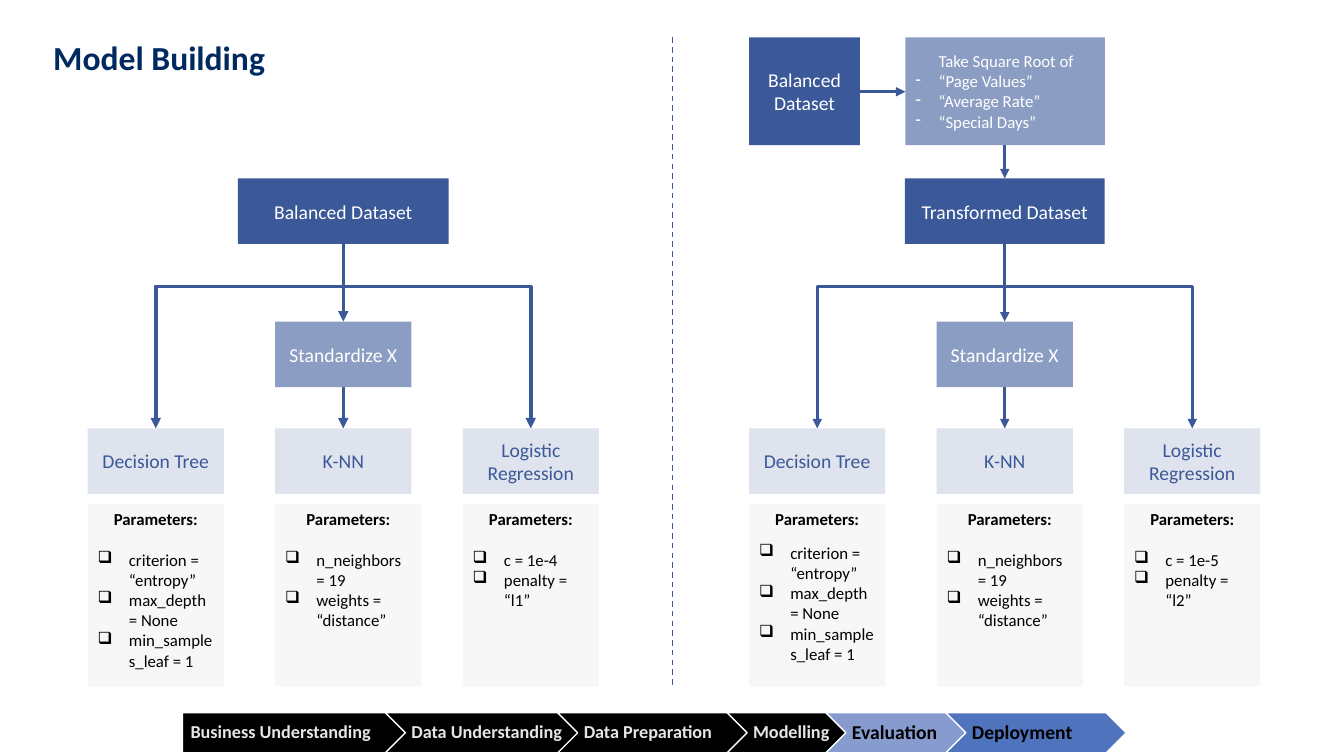
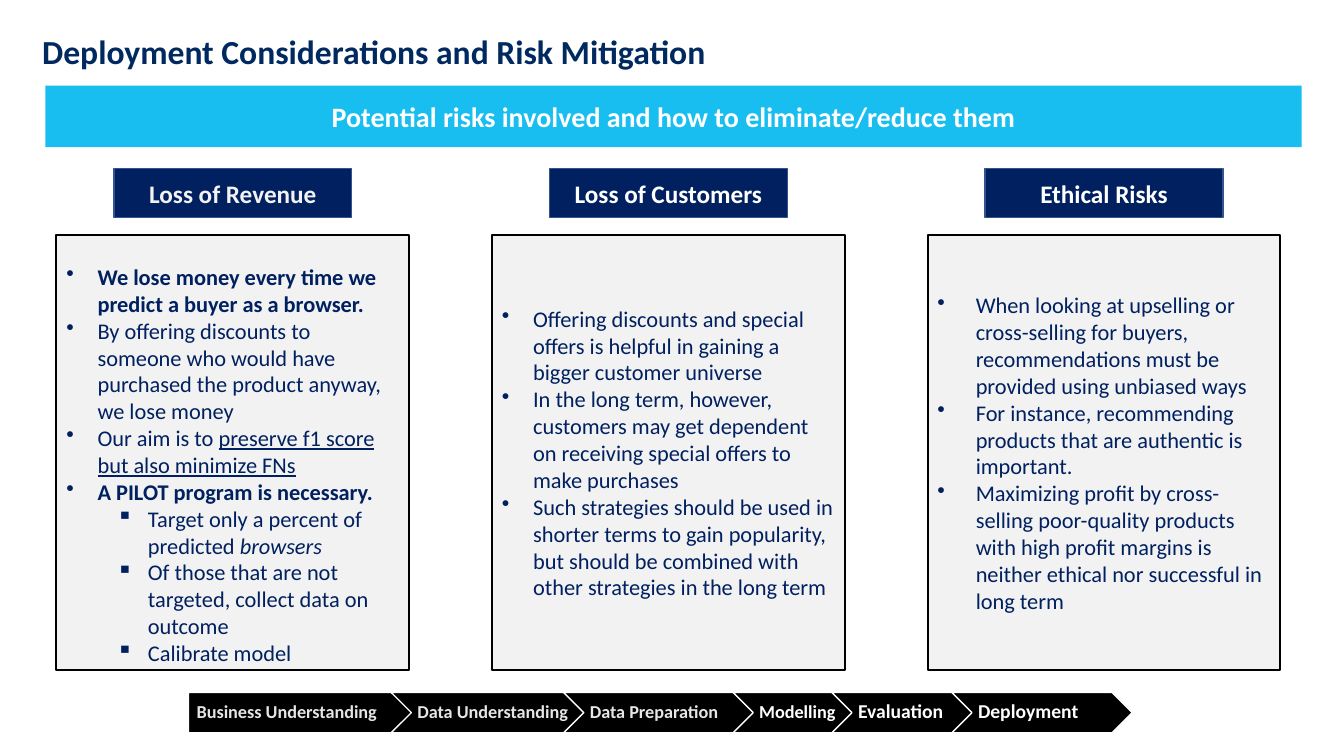
"""Build two slides on model building and deployment risks."""
from lxml.etree import SubElement
from pptx import Presentation
from pptx.dml.color import RGBColor
from pptx.enum.dml import MSO_LINE
from pptx.enum.shapes import MSO_CONNECTOR, MSO_SHAPE
from pptx.enum.text import MSO_ANCHOR, PP_ALIGN
from pptx.oxml.ns import qn
from pptx.util import Inches, Pt

FONT = "Calibri"
BLACK = RGBColor(0x00, 0x00, 0x00)
WHITE = RGBColor(0xFF, 0xFF, 0xFF)
SILVER = RGBColor(0xE7, 0xE6, 0xE6)
PALE = RGBColor(0xF2, 0xF2, 0xF2)
PARAMETER_GRAY = RGBColor(0xF7, 0xF7, 0xF7)
TITLE_NAVY = RGBColor(0x00, 0x29, 0x60)
NAVY = RGBColor(0x00, 0x20, 0x60)
NAVY_EDGE = RGBColor(0x32, 0x54, 0x91)
CYAN = RGBColor(0x19, 0xBE, 0xF0)
BLUE = RGBColor(0x3B, 0x59, 0x98)
MID_BLUE = RGBColor(0x8B, 0x9D, 0xC3)
LIGHT_BLUE = RGBColor(0xDF, 0xE3, 0xEE)
EVALUATION_BLUE = RGBColor(0x87, 0x9B, 0xCE)
DEPLOYMENT_BLUE = RGBColor(0x4F, 0x73, 0xBD)

STAGES = [
    ("Business Understanding", 2.51, 13),
    ("Data Understanding", 2.21, 13),
    ("Data Preparation", 2.18, 13),
    ("Modelling", 1.48, 13),
    ("Evaluation", 1.69, 14),
    ("Deployment", 1.79, 14),
]
STAGE_HEIGHT, STAGE_OVERLAP, STAGE_TIP = 0.4, 0.5, 0.2

NODE_WIDTH, NODE_HEIGHT, NODE_PITCH = 1.35, 0.65, 1.86
ROOT_TOP, STANDARDIZE_TOP, MODEL_TOP, PARAMETER_TOP = 1.77, 3.19, 4.25, 5
MODELS = ["Decision Tree", "K-NN", "Logistic Regression"]
TREE_PARAMETERS = ["criterion = “entropy”", "max_depth = None", "min_samples_leaf = 1"]
NEIGHBOR_PARAMETERS = ["n_neighbors = 19", "weights = “distance”"]

RISKS = [
    ("Loss of Revenue", PALE, 0.31, 0.28, [
        [("We lose money every time we predict a buyer as a browser.", "b")],
        "By offering discounts to someone who would have purchased the product anyway, we lose money",
        ["Our aim is to ", ("preserve f1 score but also minimize FNs", "u")],
        [("A PILOT program is necessary.", "b")],
    ], [
        ["Target only a percent of predicted ", ("browsers", "i")],
        "Of those that are not targeted, collect data on outcome",
        "Calibrate model",
    ]),
    ("Loss of Customers", WHITE, 0.31, None, [
        "Offering discounts and special offers is helpful in gaining a bigger customer universe",
        "In the long term, however, customers may get dependent on receiving special offers to make purchases",
        "Such strategies should be used in shorter terms to gain popularity, but should be combined with other strategies in the long term",
    ], []),
    ("Ethical Risks", WHITE, 0.38, None, [
        "When looking at upselling or cross-selling for buyers, recommendations must be provided using unbiased ways",
        "For instance, recommending products that are authentic is important.",
        "Maximizing profit by cross-selling poor-quality products with high profit margins is neither ethical nor successful in long term",
    ], []),
]


class Deck:
    """Hold the shared style and the current slide."""

    def __init__(self):
        self.presentation = Presentation()
        self.presentation.slide_width = Inches(13.33)
        self.presentation.slide_height = Inches(7.5)
        self.slide = None

    def new_slide(self, title, left, top):
        self.slide = self.presentation.slides.add_slide(self.presentation.slide_layouts[6])
        frame = self.text_frame(left, top, 12, 0.5, MSO_ANCHOR.BOTTOM)
        self.add_text(frame, title, 24, TITLE_NAVY, bold=True)

    def text_frame(self, left, top, width, height, anchor):
        box = self.slide.shapes.add_textbox(*map(Inches, (left, top, width, height)))
        box.text_frame.word_wrap = True
        box.text_frame.vertical_anchor = anchor
        return box.text_frame

    def add_text(self, frame, content, size, color, bold=False, align=PP_ALIGN.LEFT):
        paragraph = frame.paragraphs[0]
        if paragraph.runs:
            paragraph = frame.add_paragraph()
        paragraph.alignment = align
        for part in [content] if isinstance(content, str) else content:
            text, marks = (part, "") if isinstance(part, str) else part
            run = paragraph.add_run()
            run.text = text
            run.font.name = FONT
            run.font.size = Pt(size)
            run.font.color.rgb = color
            run.font.bold = bold or "b" in marks
            run.font.italic = "i" in marks
            run.font.underline = "u" in marks
        return paragraph

    def indent(self, paragraph, left, hanging=0):
        properties = paragraph._p.get_or_add_pPr()
        properties.set("marL", str(Inches(left)))
        properties.set("indent", str(-Inches(hanging)))
        return properties

    def bullets(self, frame, items, char, left, hanging, size, color):
        for item in items:
            paragraph = self.add_text(frame, item, size, color)
            properties = self.indent(paragraph, left, hanging)
            SubElement(properties, qn("a:buChar")).set("char", char)

    def shape(self, left, top, width, height, fill, edge=None, edge_width=1,
              kind=MSO_SHAPE.RECTANGLE, anchor=MSO_ANCHOR.MIDDLE):
        shape = self.slide.shapes.add_shape(kind, *map(Inches, (left, top, width, height)))
        shape.shadow.inherit = False
        shape.fill.solid()
        shape.fill.fore_color.rgb = fill
        if edge is None:
            shape.line.fill.background()
        else:
            shape.line.color.rgb = edge
            shape.line.width = Pt(edge_width)
        shape.text_frame.word_wrap = True
        shape.text_frame.vertical_anchor = anchor
        return shape.text_frame

    def label(self, text, left, top, width, height, fill, color=WHITE, size=14,
              bold=False, edge=None):
        frame = self.shape(left, top, width, height, fill, edge)
        self.add_text(frame, text, size, color, bold, PP_ALIGN.CENTER)

    def line(self, start, end, width, kind=MSO_CONNECTOR.STRAIGHT, arrow=True):
        line = self.slide.shapes.add_connector(kind, *map(Inches, (*start, *end)))
        line.line.color.rgb = BLUE
        line.line.width = Pt(width)
        properties = line._element.spPr
        if arrow:
            SubElement(properties.find(qn("a:ln")), qn("a:tailEnd")).set("type", "triangle")
        SubElement(properties, qn("a:effectLst"))
        return line

    def branch(self, start, end, width):
        run, drop = abs(end[0] - start[0]), end[1] - start[1]
        left = (start[0] + end[0] - drop) / 2
        top = (start[1] + end[1] - run) / 2
        near, far, turn = left, left + drop, 90
        if end[0] > start[0]:
            near, far, turn = far, near, 270
        elbow = self.line((near, top), (far, top + run), width, MSO_CONNECTOR.ELBOW)
        properties = elbow._element.spPr
        properties.find(qn("a:xfrm")).set("rot", str(turn * 60000))
        guide = SubElement(properties.find(qn("a:prstGeom")).find(qn("a:avLst")), qn("a:gd"))
        guide.set("name", "adj1")
        guide.set("fmla", "val 23000")

    def process_bar(self, left, top, colors):
        for index, ((stage, width, size), (fill, color)) in enumerate(zip(STAGES, colors)):
            first = index == 0
            kind = MSO_SHAPE.PENTAGON if first else MSO_SHAPE.CHEVRON
            self.shape(left, top, width, STAGE_HEIGHT, fill, WHITE, kind=kind)
            tip = 0 if first else STAGE_TIP
            frame = self.text_frame(left + tip, top, width - max(2 * tip, 0.1),
                                    STAGE_HEIGHT, MSO_ANCHOR.MIDDLE)
            frame.margin_left = Inches(0.08 if first else 0.06)
            frame.margin_right = Inches(0.02)
            frame.margin_top = frame.margin_bottom = Inches(0.04)
            self.add_text(frame, stage, size, color, bold=True).line_spacing = 0.9
            left += width - STAGE_OVERLAP

    def parameters(self, left, width, items, gap):
        frame = self.shape(left, PARAMETER_TOP, width, 1.81, PARAMETER_GRAY,
                           anchor=MSO_ANCHOR.TOP)
        heading = self.add_text(frame, "Parameters:", 12, BLACK, True, PP_ALIGN.CENTER)
        heading.space_after = Pt(gap)
        self.bullets(frame, items, "❑", 0.31, 0.31, 12, BLACK)

    def model_tree(self, left, root, root_width, arrow_width, parameter_sets):
        columns = [left + index * NODE_PITCH for index in range(len(MODELS))]
        centers = [column + NODE_WIDTH / 2 for column in columns]
        middle = centers[1]
        root_end = (middle, ROOT_TOP + NODE_HEIGHT)
        self.label(root, middle - root_width / 2, ROOT_TOP, root_width, NODE_HEIGHT, BLUE)
        self.label("Standardize X", columns[1], STANDARDIZE_TOP, NODE_WIDTH, NODE_HEIGHT, MID_BLUE)
        self.line(root_end, (middle, STANDARDIZE_TOP), arrow_width)
        self.line((middle, STANDARDIZE_TOP + NODE_HEIGHT), (middle, MODEL_TOP), arrow_width)
        for center in (centers[0], centers[2]):
            self.branch(root_end, (center, MODEL_TOP), arrow_width)
        for model, column, (items, gap) in zip(MODELS, columns, parameter_sets):
            self.label(model, column, MODEL_TOP, NODE_WIDTH, NODE_HEIGHT, LIGHT_BLUE, BLUE)
            extra = 0.1 if model == "K-NN" else 0
            self.parameters(column, NODE_WIDTH + extra, items, gap)
        return middle

    def risk(self, left, name, color, indent, top_margin, points, steps):
        self.label(name, left + 0.57, 1.67, 2.36, 0.49, NAVY, color, 18, True, NAVY_EDGE)
        frame = self.shape(left, 2.33, 3.5, 4.32, PALE, BLACK, 1.5)
        if top_margin is not None:
            frame.vertical_anchor = MSO_ANCHOR.TOP
            frame.margin_top = Inches(top_margin)
        self.bullets(frame, points, "•", indent, indent, 16, NAVY)
        self.bullets(frame, steps, "▪", indent + 0.5, indent, 16, NAVY)


def model_building(deck):
    deck.new_slide("Model Building", 0.43, 0.32)
    done = [(BLACK, SILVER)] * 4
    deck.process_bar(1.81, 7.07, done + [(EVALUATION_BLUE, BLACK), (DEPLOYMENT_BLUE, BLACK)])
    divider = deck.line((6.67, 0.37), (6.67, 6.83), 1, arrow=False)
    divider.line.dash_style = MSO_LINE.DASH
    deck.model_tree(0.87, "Balanced Dataset", 2.09, 2.5, [
        (TREE_PARAMETERS, 14.6), (NEIGHBOR_PARAMETERS, 14.6),
        (["c = 1e-4", "penalty = “l1”"], 14.6)])
    middle = deck.model_tree(7.43, "Transformed Dataset", 1.98, 2.25, [
        (TREE_PARAMETERS, 9.7), (NEIGHBOR_PARAMETERS, 14.6),
        (["c = 1e-5", "penalty = “l2”"], 14.6)])
    deck.label("Balanced Dataset", 7.43, 0.37, 1.1, 1.07, BLUE)
    square_root = deck.shape(8.98, 0.37, 1.98, 1.07, MID_BLUE)
    deck.indent(deck.add_text(square_root, "Take Square Root of", 12, WHITE), 0.23)
    deck.bullets(square_root, ["“Page Values”", "“Average Rate”", "“Special Days”"],
                 "-", 0.23, 0.23, 12, WHITE)
    deck.line((8.53, 0.91), (8.98, 0.91), 2.25)
    deck.line((middle, 1.44), (middle, ROOT_TOP), 2.25)


def deployment_risks(deck):
    deck.new_slide("Deployment Considerations and Risk Mitigation", 0.32, 0.26)
    deck.label("Potential risks involved and how to eliminate/reduce them",
               0.45, 0.85, 12.46, 0.61, CYAN, size=20, bold=True)
    for index, risk in enumerate(RISKS):
        deck.risk(0.56 + index * 4.32, *risk)
    deck.process_bar(1.87, 6.87, [(BLACK, SILVER)] * 3 + [(BLACK, WHITE)] * 3)


def main():
    deck = Deck()
    model_building(deck)
    deployment_risks(deck)
    deck.presentation.save("out.pptx")


if __name__ == "__main__":
    main()
